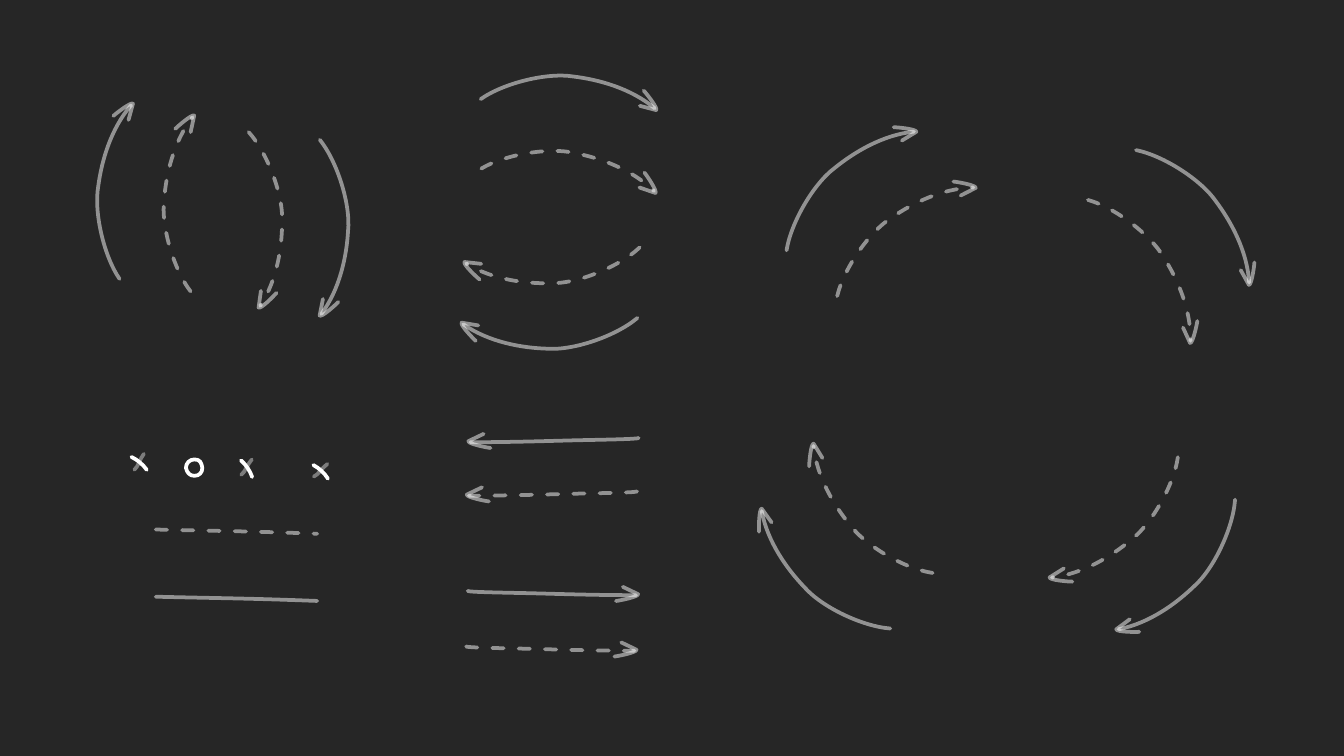
import math
from dataclasses import dataclass

import pptx
import pptx.dml.color
import pptx.enum.dml
import pptx.oxml
import pptx.oxml.ns
import pptx.util
from lxml import etree


@dataclass(frozen=True)
class Theme:
    background: str = "262626"
    stroke: str = "FFFFFF"
    width: float = 2
    solid: int = 100  # opacity in percent
    soft: int = 50
    faint: int = 40


THEME = Theme()
UNIT = pptx.util.Cm(0.01)

# Outlines in hundredths of a centimetre: a start point, then Bézier triples
ARC = [(0, 0), (53, 2), (131, 36), (165, 72), (199, 105), (238, 155), (251, 213)]
SHAFT = [(0, 0), (2, 2), (3, 56), (4, 104), (5, 155), (8, 229), (8, 318)]
HEAD = [(0, 16), (17, 43), (22, 43), (25, 9), (25, 0)]  # one straight side first
RULE = [(0, 0), (124, 3), (175, 3), (305, 8)]
FALLING = [(0, 0), (10, 8), (18, 18), (23, 30)]
RISING = [(18, 0), (10, 10), (7, 25), (0, 30)]
RING = [(31, 16), (29, 6), (27, 0), (16, 0), (7, 0), (0, 7), (0, 16),
        (2, 25), (7, 31), (16, 31), (25, 31), (31, 25), (31, 16)]

# Head centre from the arrow centre (cm, before turning) and its extra turn
ARC_HEAD = (1.19, 0.90, -5.9)
SHAFT_HEAD = (0, 1.41, 6.5)

# Arrows: centre x, centre y (cm), rotation, dashed
ARC_ARROWS = [
    # upright pairs
    (4.81, 4.14, 45.9, True), (6.06, 4.29, 49.2, False),
    (3.62, 3.86, 230.3, True), (2.37, 3.63, 233.5, False),
    # level pairs
    (10.73, 1.96, 322.7, False), (10.73, 3.40, 327.1, True),
    (10.45, 4.83, 134.4, True), (10.40, 6.07, 137.6, False),
    # cycle
    (16.07, 3.61, 276.7, False), (17.11, 4.57, 281.1, True),
    (22.54, 4.09, 9.2, False), (21.53, 5.11, 13.6, True),
    (22.24, 10.67, 91.6, False), (21.07, 9.78, 96, True),
    (15.61, 10.77, 182.1, False), (16.50, 9.63, 186.5, True),
]
STRAIGHT_ARROWS = [
    (10.48, 8.32, 90, False), (10.45, 9.33, 90, True),
    (10.43, 11.21, 270, False), (10.40, 12.26, 270, True),
]
# Crosses: centre x, centre y, turn of each stroke
CROSSES = [(2.63, 8.76, 347.5, 0), (4.66, 8.86, 3.7, 3.8), (6.06, 8.92, 350.4, 16.2)]


def mirror(outline):
    right = max(x for x, _ in outline)
    return [(right - x, y) for x, y in outline]


def bend(shape, straight):
    """Join line segments after the straight ones, by threes, into Bézier curves."""
    segments = shape.element.findall(".//" + pptx.oxml.ns.qn("a:lnTo"))
    for index in range(straight, len(segments), 3):
        curve = segments[index]
        curve.tag = pptx.oxml.ns.qn("a:cubicBezTo")
        for segment in segments[index + 1:index + 3]:
            curve.append(segment[0])
            segment.getparent().remove(segment)


def style_line(shape, opacity, dashed):
    shape.shadow.inherit = False
    shape.fill.background()
    line = shape.line
    line.width = pptx.util.Pt(THEME.width)
    line.color.rgb = pptx.dml.color.RGBColor.from_string(THEME.stroke)
    if dashed:
        line.dash_style = pptx.enum.dml.MSO_LINE.DASH
    qn = pptx.oxml.ns.qn
    element = shape.element.spPr.find(qn("a:ln"))
    element.set("cap", "rnd")
    etree.SubElement(element, qn("a:round"))
    if opacity < 100:
        color = element.find(".//" + qn("a:srgbClr"))
        etree.SubElement(color, qn("a:alpha")).set("val", str(opacity * 1000))


def add_stroke(shapes, outline, x, y, rotation=0, opacity=THEME.soft, dashed=False, straight=0):
    """Draw an outline centred on x, y (cm)."""
    width = max(point[0] for point in outline) / 100
    height = max(point[1] for point in outline) / 100
    builder = shapes.build_freeform(*outline[0], scale=UNIT)
    builder.add_line_segments(outline[1:], close=outline[0] == outline[-1])
    shape = builder.convert_to_shape(pptx.util.Cm(x - width / 2), pptx.util.Cm(y - height / 2))
    bend(shape, straight)
    style_line(shape, opacity, dashed)
    shape.rotation = rotation


def add_arrow(slide, body, head, head_place, x, y, rotation, dashed):
    shapes = slide.shapes.add_group_shape().shapes
    across, along, turn = head_place
    angle = math.radians(rotation)
    head_x = x + across * math.cos(angle) - along * math.sin(angle)
    head_y = y + across * math.sin(angle) + along * math.cos(angle)
    add_stroke(shapes, body, x, y, rotation, dashed=dashed)
    add_stroke(shapes, head, head_x, head_y, rotation + turn, straight=1)


def add_straight_arrow(slide, x, y, rotation, dashed):
    across, along, turn = SHAFT_HEAD
    if rotation == 270:  # arrows to the right are mirrored
        add_arrow(slide, mirror(SHAFT), mirror(HEAD), (-across, along, -turn),
                  x, y, rotation, dashed)
    else:
        add_arrow(slide, SHAFT, HEAD, SHAFT_HEAD, x, y, rotation, dashed)


def add_cross(slide, x, y, falling_turn, rising_turn):
    shapes = slide.shapes.add_group_shape().shapes
    add_stroke(shapes, FALLING, x, y, falling_turn, THEME.solid)
    add_stroke(shapes, RISING, x, y - 0.03, rising_turn, THEME.faint)


def main():
    presentation = pptx.Presentation()
    presentation.slide_width = pptx.util.Cm(25.4)
    presentation.slide_height = pptx.util.Cm(14.29)
    slide = presentation.slides.add_slide(presentation.slide_layouts[6])
    background = slide.background.fill
    background.solid()
    background.fore_color.rgb = pptx.dml.color.RGBColor.from_string(THEME.background)

    # Straight arrows
    for arrow in STRAIGHT_ARROWS:
        add_straight_arrow(slide, *arrow)

    # Plain lines
    add_stroke(slide.shapes, RULE, 4.47, 10.05, dashed=True)
    add_stroke(slide.shapes, RULE, 4.47, 11.32)

    # Crosses and ring
    for cross in CROSSES:
        add_cross(slide, *cross)
    add_stroke(slide.shapes, RING, 3.67, 8.84, opacity=THEME.solid)

    # Curved arrows
    for arrow in ARC_ARROWS:
        add_arrow(slide, ARC, HEAD, ARC_HEAD, *arrow)

    presentation.save("out.pptx")


if __name__ == "__main__":
    main()
